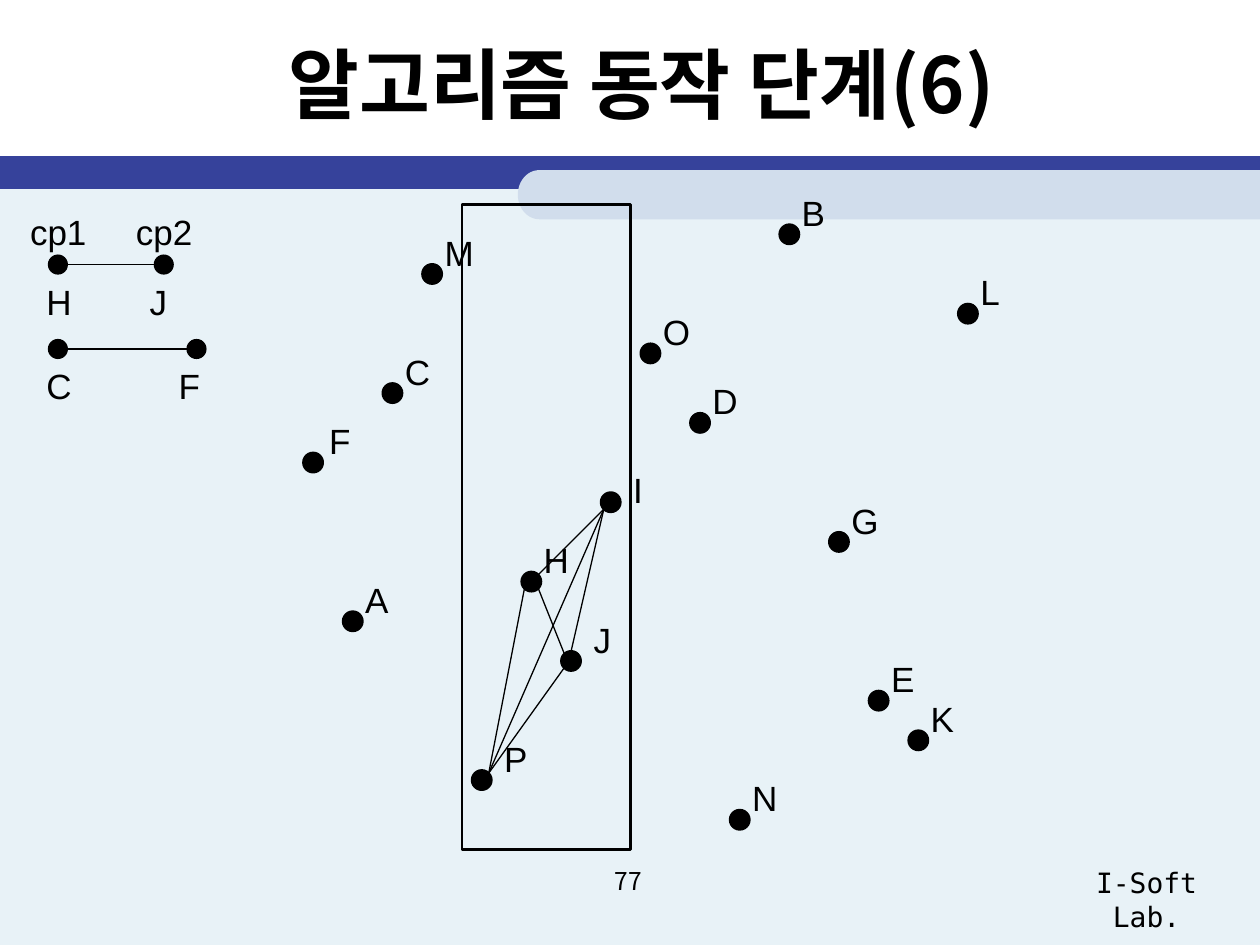
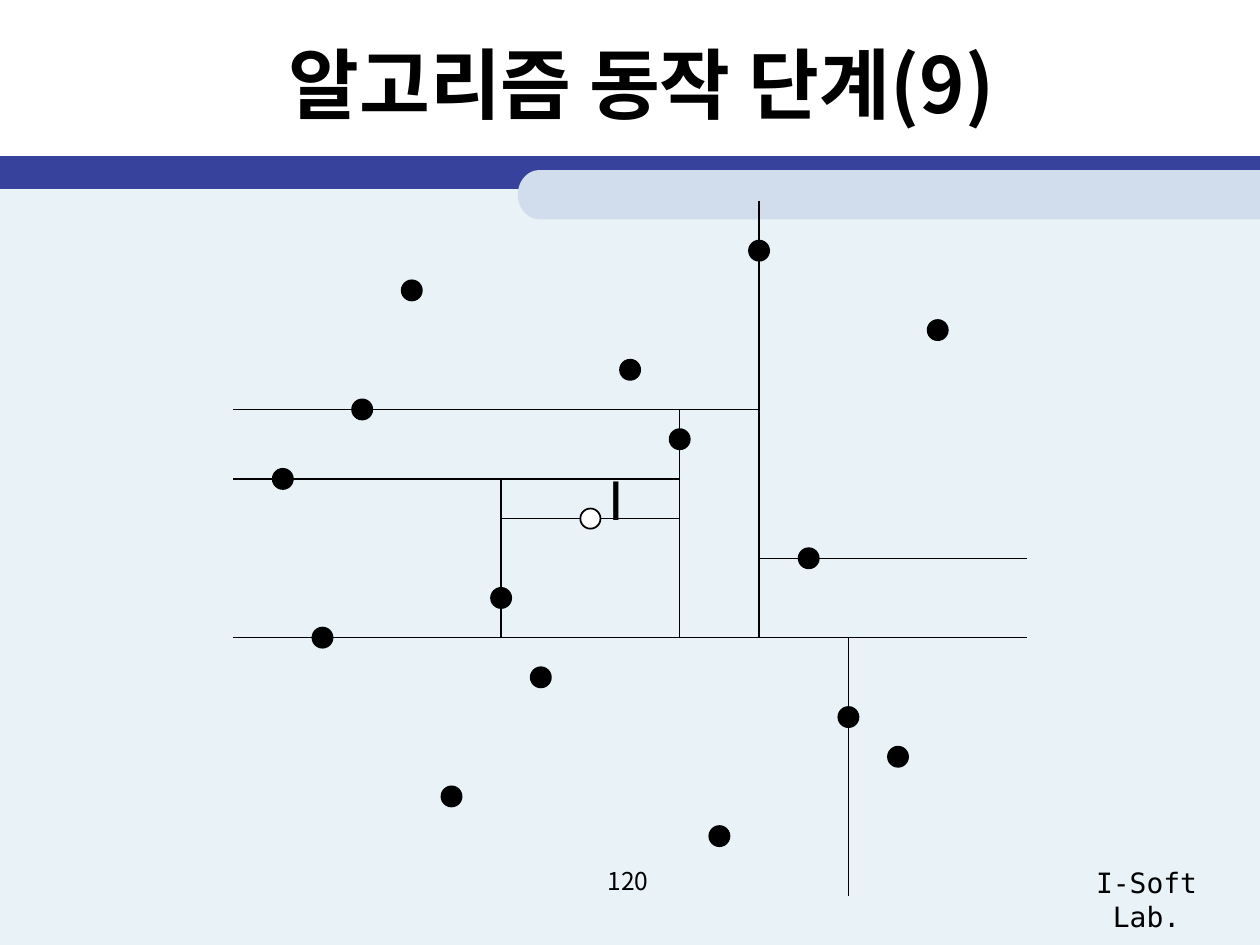
from dataclasses import dataclass
from math import cos, pi, sin

from lxml.etree import SubElement as Sub
from pptx import Presentation
from pptx.dml.color import RGBColor as Rgb
from pptx.enum.shapes import MSO_CONNECTOR as Conn, MSO_SHAPE as Kind
from pptx.enum.text import MSO_ANCHOR as Anchor, PP_ALIGN as Align
from pptx.oxml.ns import qn
from pptx.util import Inches, Pt


@dataclass(frozen=True)
class Theme:
    ink: str = "000000"
    white: str = "FFFFFF"
    pale: str = "E8F2F7"
    navy: str = "36429B"
    mist: str = "D1DDEC"
    sans: str = "Arial"
    mono: str = "DejaVu Sans Mono"
    hangul: str = "Noto Sans CJK KR"
    title: int = 44
    big: int = 32
    label: int = 20
    lab: int = 16
    number: int = 14


look = Theme()
unit = Inches(0.1)
step = 6.3 / 8
dot = 1.6

deck = Presentation()
deck.slide_width, deck.slide_height = 100 * unit, 75 * unit


def shape(page, kind, box, fill=None, width=None):
    item = page.shapes.add_shape(kind, *(round(n * unit) for n in box))
    item.shadow.inherit = False
    if fill:
        item.fill.solid()
        item.fill.fore_color.rgb = Rgb.from_string(fill)
    else:
        item.fill.background()
    if width:
        item.line.color.rgb = Rgb.from_string(look.ink)
        item.line.width = Pt(width)
    else:
        item.line.fill.background()


def write(page, text, box, size, face, align=Align.LEFT, bold=False, anchor=Anchor.TOP):
    item = page.shapes.add_textbox(*(round(n * unit) for n in box))
    frame = item.text_frame
    frame.text = text
    frame.word_wrap = True
    frame.vertical_anchor = anchor
    para = frame.paragraphs[0]
    para.alignment = align
    for run in para.runs:
        font = run.font
        font.size, font.bold, font.name = Pt(size), bold, face
        font.color.rgb = Rgb.from_string(look.ink)
        Sub(font._element, qn("a:ea"), typeface=face)


spots = {
    "A": (0, 39), "B": (44, 0), "C": (4, 16), "D": (35, 19),
    "E": (53, 47), "F": (-4, 23), "G": (49, 31), "H": (18, 35),
    "I": (26, 27), "J": (22, 43), "K": (57, 51), "L": (62, 8),
    "M": (8, 4), "N": (39, 59), "O": (30, 12), "P": (13, 55),
}
near = {name: (28 + x * step, 18.6 + y * step) for name, (x, y) in spots.items()}
far = {
    name: (25.6 + (x + (name in "DIKMNO")) * step, 19.9 + y * step)
    for name, (x, y) in spots.items()
}

edge = 0.55
links = [
    ("I", -1, 1, "H", 1, -1),
    ("I", -1, 1, "J", 0, -1.4),
    ("I", -1, 1, "P", 1, -1),
    ("P", 1, -1, "H", -1, 1),
    ("J", 0, 1.4, "H", 1, 1),
    ("J", -1, 1, "P", 1, -1),
]
pairs = []
for start, ax, ay, end, bx, by in links:
    (x1, y1), (x2, y2) = near[start], near[end]
    pairs.append((x1 + ax * edge, y1 + ay * edge, x2 + bx * edge, y2 + by * edge))

cuts = [
    (-9, 39, 71, 39), (44, -5, 44, 39), (-9, 16, 44, 16),
    (36, 16, 36, 39), (53, 39, 53, 65), (-9, 23, 36, 23),
    (44, 31, 71, 31), (18, 23, 18, 39), (18, 27, 36, 27),
]
walls = [
    (25.6 + a * step, 19.9 + b * step, 25.6 + c * step, 19.9 + d * step)
    for a, b, c, d in cuts
]

keys = [(21, 13, "H", 10.9, "J"), (27.7, 15.6, "C", 13.2, "F")]
keys = [(y, x, one, left, two) for y, x, one, left, two in keys]
pairs += [(4.6, y, x, y) for y, x, *rest in keys]

pages = [
    ("알고리즘 동작 단계(6)", "77", near, pairs),
    ("알고리즘 동작 단계(9)", "120", far, walls),
]
views = []

for title, number, points, lines in pages:
    page = deck.slides.add_slide(deck.slide_layouts[6])
    views.append(page)
    shape(page, Kind.RECTANGLE, (0, 14, 100, 61), look.pale)
    shape(page, Kind.RECTANGLE, (0, 12.4, 100, 2.6), look.navy)

    turns = [pi / 2 + pi * n / 24 for n in range(25)]
    curve = [(42.8 + 1.7 * cos(t), 15.45 - 1.95 * sin(t)) for t in turns]
    rim = [(round(x * unit), round(y * unit)) for x, y in curve + [(100, 17.4)]]
    path = page.shapes.build_freeform(100 * unit, round(13.5 * unit))
    path.add_line_segments(rim, close=True)
    tab = path.convert_to_shape()
    tab.shadow.inherit = False
    tab.fill.solid()
    tab.fill.fore_color.rgb = Rgb.from_string(look.mist)
    tab.line.fill.background()

    write(page, "I-Soft Lab.", (83.1, 68.2, 15.8, 3.7), look.lab, look.mono, Align.CENTER)
    write(page, number, (38.2, 68.2, 23.3, 5.2), look.number, look.hangul, Align.CENTER)
    write(page, title, (5.9, 0.8, 90, 11.5), look.title, look.hangul,
          Align.CENTER, True, Anchor.MIDDLE)

    for ends in lines:
        line = page.shapes.add_connector(Conn.STRAIGHT, *(round(n * unit) for n in ends))
        line.line.color.rgb = Rgb.from_string(look.ink)
        line.line.width = Pt(0.75)
        Sub(line._element.spPr, qn("a:effectLst"))

    for name, (x, y) in points.items():
        open_dot = points is far and name == "I"
        fill = look.white if open_dot else look.ink
        shape(page, Kind.OVAL, (x - dot / 2, y - dot / 2, dot, dot), fill, 1)

first, last = views
nudge = {"F": (0.3, 0), "I": (0.8, 0.7), "J": (0.8, 0), "P": (0.8, 0)}
for name, (x, y) in near.items():
    dx, dy = nudge.get(name, (0, 0))
    write(first, name, (x + dx, y - 3.9 + dy, 4, 4.4), look.label, look.sans)

strip = (28 + 11 * step, 18.6 - 3 * step, 17 * step, 65 * step)
shape(first, Kind.RECTANGLE, strip, width=1.5)

for y, x, one, left, two in keys:
    for mid in (4.6, x):
        shape(first, Kind.OVAL, (mid - dot / 2, y - dot / 2, dot, dot), look.ink)
    for name, at in ((one, 2.7), (two, left)):
        write(first, name, (at, y + 0.75, 4, 4.4), look.label, look.sans)
for name, at in (("cp1", 1.4), ("cp2", 9.8)):
    write(first, name, (at, 16.2, 7, 4.4), look.label, look.sans)

write(last, "I", (47.3, 36.4, 3.2, 6.4), look.big, look.sans, Align.CENTER)

deck.save("out.pptx")
